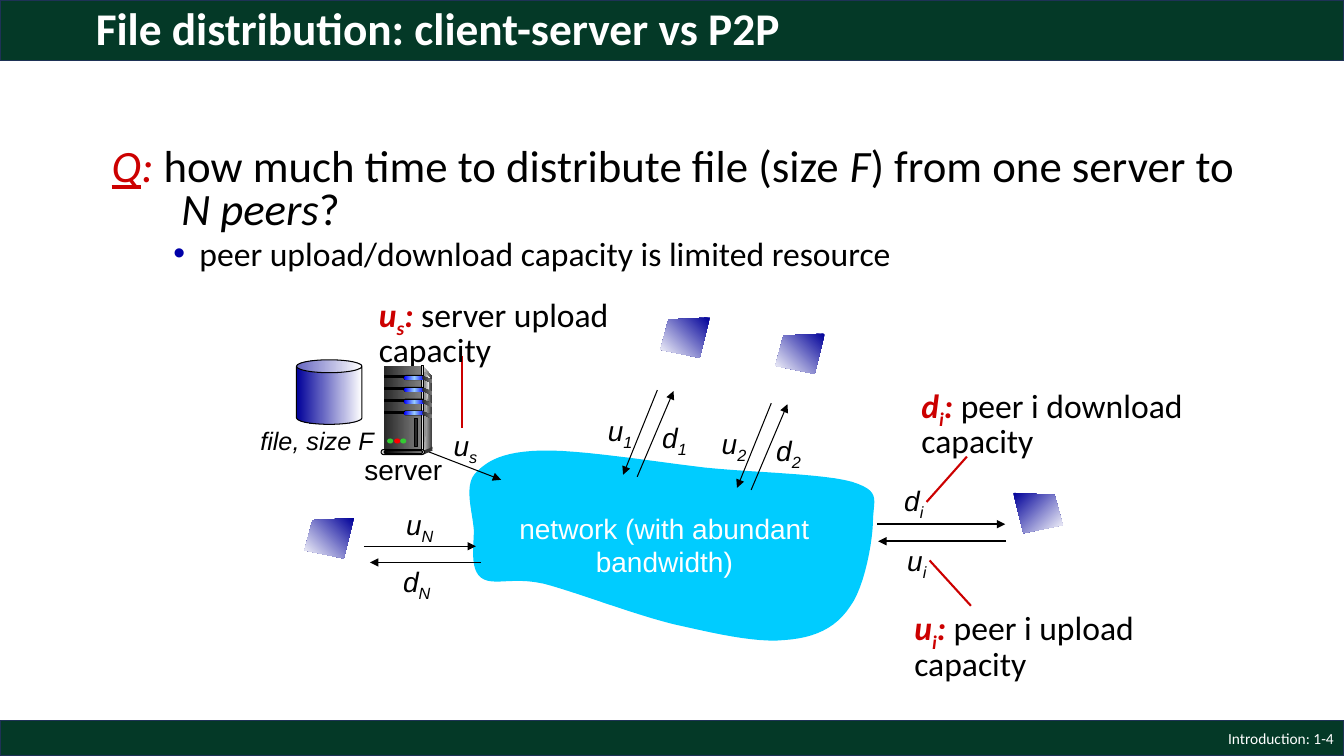
"""Build the slide on file distribution time, client-server against P2P."""
from copy import deepcopy

from pptx import Presentation
from pptx.dml.color import RGBColor
from pptx.enum.shapes import MSO_CONNECTOR as Link, MSO_SHAPE as Form
from pptx.enum.text import MSO_ANCHOR as Anchor, MSO_AUTO_SIZE as Fit, PP_ALIGN as Align
from pptx.oxml.ns import qn
from pptx.util import Inches, Pt
from lxml.etree import SubElement

GREEN = RGBColor(0x04, 0x39, 0x27)
EDGE = RGBColor(0x1E, 0x32, 0x56)
WHITE = RGBColor(0xFF, 0xFF, 0xFF)
BLACK = RGBColor(0x00, 0x00, 0x00)
RED = RGBColor(0xCC, 0x00, 0x00)
CYAN = RGBColor(0x00, 0xCC, 0xFF)
NAVY = RGBColor(0x00, 0x00, 0x99)
BLUE = RGBColor(0x00, 0x00, 0xFF)
SKY = RGBColor(0x99, 0xCC, 0xFF)
COAL = RGBColor(0x29, 0x29, 0x29)
DARK = RGBColor(0x33, 0x33, 0x33)
GRAY = RGBColor(0x80, 0x80, 0x80)
PALE = RGBColor(0xDD, 0xDD, 0xDD)
MIST = RGBColor(0xF8, 0xF8, 0xF8)
LIME = RGBColor(0x33, 0xCC, 0x33)
LAMP = RGBColor(0xFF, 0x00, 0x00)


def write(par, text, size=20, face="Arial", color=BLACK, bold=False, italic=False, under=False, sub=False):
    run = par.add_run()
    run.text = text
    font = run.font
    font.size, font.name, font.color.rgb = Pt(size), face, color
    font.bold, font.italic, font.underline = bold, italic, under
    if sub:
        run._r.get_or_add_rPr().set("baseline", "-25000")


def draw(home, form, spot, fill, edge=None, width=0.75, turn=0, bend=None):
    if form:
        shape = home.add_shape(form, *map(Inches, spot))
    else:
        dots = [(Inches(x), Inches(y)) for x, y in spot]
        pen = home.build_freeform(*dots[0], scale=1.0)
        pen.add_line_segments(dots[1:], close=True)
        shape = pen.convert_to_shape()
    shape.shadow.inherit = False
    if bend is not None:
        shape.adjustments[0] = bend
    if isinstance(fill, list):
        shape.fill.gradient()
        shape.fill.gradient_angle = turn
        stops = shape._element.spPr.find(qn("a:gradFill")).find(qn("a:gsLst"))
        if len(fill) == 3:
            stops.insert(1, deepcopy(stops[0]))
            stops[1].set("pos", "50000")
        for stop, color in zip(shape.fill.gradient_stops, fill):
            stop.color.rgb = color
    else:
        shape.fill.solid()
        shape.fill.fore_color.rgb = fill
    if edge is None:
        shape.line.fill.background()
    else:
        shape.line.color.rgb = edge
        shape.line.width = Pt(width)


deck = Presentation()
deck.slide_width, deck.slide_height = Inches(13.33), Inches(7.5)
slide = deck.slides.add_slide(deck.slide_layouts[5])
art = slide.shapes

for top, high in [(0, 0.6), (7.15, 0.35)]:
    draw(art, Form.RECTANGLE, (0, top, 13.33, high), GREEN, EDGE, 1)

title = art.title
art._spTree.append(title._element)
title.left, title.top, title.width, title.height = map(Inches, (0.85, 0.04, 11.5, 0.54))
frame = title.text_frame
frame.auto_size, frame.vertical_anchor, frame.word_wrap = Fit.NONE, Anchor.MIDDLE, True
par = frame.paragraphs[0]
par.alignment, par.line_spacing = Align.LEFT, 0.9
write(par, "File distribution: client-server vs P2P", size=32.4, face="Calibri", color=WHITE, bold=True)

frame = art.add_textbox(*map(Inches, (0.94, 1.42, 11.5, 1.42))).text_frame
frame.word_wrap = True
ask, point = frame.paragraphs[0], frame.add_paragraph()
for par, left, first in [(ask, 0.76, -0.69), (point, 0.94, -0.26)]:
    par.line_spacing = 0.8
    rule = par._p.get_or_add_pPr()
    rule.set("marL", str(Inches(left)))
    rule.set("indent", str(Inches(first)))
for text, style in [
    ("Q", dict(color=RED, italic=True, under=True)),
    (":", dict(color=RED, italic=True)),
    (" how much time to distribute file (size ", {}),
    ("F", dict(italic=True)),
    (") from one server to ", {}),
    ("N peers", dict(italic=True)),
    ("?", {}),
]:
    write(ask, text, size=32, face="Calibri", **style)
point.level, point.space_before = 1, Pt(5)
rule = point._p.get_or_add_pPr()
SubElement(SubElement(rule, qn("a:buClr")), qn("a:srgbClr")).set("val", "0000A8")
SubElement(rule, qn("a:buFont")).set("typeface", "Arial")
SubElement(rule, qn("a:buChar")).set("char", "•")
write(point, "peer upload/download capacity is limited resource", size=24, face="Calibri")

cloud = [(5.37, 4.47)]
for b, c, d in [
    ((4.99, 4.48), (4.83, 4.57), (4.71, 4.7)),
    ((4.6, 4.83), (4.69, 5.09), (4.7, 5.26)),
    ((4.7, 5.43), (4.66, 5.64), (4.77, 5.73)),
    ((4.89, 5.82), (5.07, 5.72), (5.39, 5.79)),
    ((5.7, 5.87), (6.27, 6.09), (6.67, 6.19)),
    ((7.07, 6.28), (7.49, 6.38), (7.78, 6.35)),
    ((8.08, 6.33), (8.29, 6.23), (8.43, 6.02)),
    ((8.58, 5.82), (8.66, 5.35), (8.66, 5.14)),
    ((8.67, 4.94), (8.73, 4.87), (8.45, 4.78)),
    ((8.17, 4.7), (7.5, 4.69), (7, 4.64)),
    ((6.49, 4.58), (5.75, 4.46), (5.37, 4.47)),
]:
    a = cloud[-1]
    for step in range(1, 13):
        t = step / 12
        u = 1 - t
        cloud.append(tuple(
            u**3 * a[i] + 3 * u * u * t * b[i] + 3 * u * t * t * c[i] + t**3 * d[i] for i in (0, 1)))
draw(art, None, cloud, CYAN)

lines = [
    (4.09, 4.42, 4.97, 4.76, BLACK, 0.75),
    (3.61, 5.42, 4.72, 5.42, BLACK, 0.75),
    (4.77, 5.58, 3.67, 5.58, BLACK, 0.75),
    (8.7, 5.2, 9.97, 5.2, BLACK, 1.5),
    (9.98, 5.37, 8.71, 5.37, BLACK, 1.5),
    (4.58, 3.53, 4.58, 4.25, RED, 1.5),
    (9.59, 4.53, 9.19, 4.98, RED, 1.5),
    (9.63, 6.01, 9.22, 5.56, RED, 1.5),
]
labels = [
    (4.4, 4.2, "u", "s"), (3.93, 4.99, "u", "N"), (3.9, 5.55, "d", "N"),
    (8.87, 4.75, "d", "i"), (8.9, 5.34, "u", "i"),
]
for peer, (x, y) in enumerate([(0, 0), (1.13, 0.13)], 1):
    lines += [
        (6.52 + x, 3.87 + y, 6.18 + x, 4.71 + y, BLACK, 0.75),
        (6.32 + x, 4.73 + y, 6.68 + x, 3.88 + y, BLACK, 0.75),
    ]
    labels += [(5.93 + x, 4.05 + y, "u", str(peer)), (6.47 + x, 4.12 + y, "d", str(peer))]

for *ends, color, width in lines:
    link = art.add_connector(Link.STRAIGHT, *map(Inches, ends))
    link.line.color.rgb, link.line.width = color, Pt(width)
    props = link._element.spPr
    if color == BLACK:
        SubElement(props.find(qn("a:ln")), qn("a:tailEnd")).set("type", "triangle")
    SubElement(props, qn("a:effectLst"))

for x, y, sign, low in labels:
    wide = 0.45 if low == "s" else 0.67
    frame = art.add_textbox(*map(Inches, (x, y, wide, 0.44))).text_frame
    frame.word_wrap = low != "s"
    write(frame.paragraphs[0], sign, italic=True)
    write(frame.paragraphs[0], low, italic=True, sub=True)

for x, y, wide, sign, low, text in [
    (3.66, 2.89, 2.72, "u", "s", " server upload capacity"),
    (8.97, 6, 2.83, "u", "i", " peer i upload capacity"),
    (9.04, 3.79, 3, "d", "i", " peer i download capacity"),
]:
    frame = art.add_textbox(*map(Inches, (x, y, wide, 0.79))).text_frame
    frame.word_wrap = True
    par = frame.paragraphs[0]
    par.line_spacing = 0.85
    for part in (sign, low, ":"):
        write(par, part, size=24, face="Calibri", color=RED, bold=True, italic=True, sub=part == low)
    write(par, text, size=24, face="Calibri")

for spot, rows, side, style in [
    ((3.36, 4.44, 1.28, 0.44), ["server"], Align.CENTER, {}),
    ((5.04, 5.02, 3.1, 0.77), ["network (with abundant", "bandwidth)"], Align.CENTER, dict(color=WHITE)),
    ((2.38, 4.17, 1.53, 0.4), ["file, size F"], Align.CENTER, dict(size=18, italic=True)),
    ((10.33, 7.15, 3, 0.35), ["Introduction: 1-4"], Align.RIGHT, dict(size=11, face="Calibri", color=WHITE)),
]:
    frame = art.add_textbox(*map(Inches, spot)).text_frame
    frame.word_wrap, frame.vertical_anchor = True, Anchor.MIDDLE
    for row, text in enumerate(rows):
        par = frame.add_paragraph() if row else frame.paragraphs[0]
        par.alignment = side
        write(par, text, **style)

draw(art, Form.CAN, (2.94, 3.57, 0.65, 0.64), [NAVY, WHITE], BLACK, bend=0.2)

rack = art.add_group_shape().shapes
draw(rack, None, [(4.2, 3.64), (4.29, 3.74), (4.28, 4.44), (4.19, 4.47)], [PALE, DARK])
draw(rack, Form.RECTANGLE, (3.81, 3.63, 0.37, 0.84), [COAL, GRAY])
draw(rack, None, [(4.21, 3.69), (4.26, 3.75), (4.23, 4), (4.21, 4.45)], [GRAY, MIST])
draw(rack, Form.RECTANGLE, (4.18, 3.63, 0.02, 0.84), [DARK, PALE, DARK], BLACK)
for bay in range(4):
    y = 3.73 + 0.117 * bay
    draw(rack, Form.RECTANGLE, (3.81, y, 0.21, 0.02), BLACK, BLACK)
    draw(rack, Form.ROUNDED_RECTANGLE, (4, y - 0.01, 0.21, 0.05), BLACK, bend=0.5)
    draw(rack, Form.ROUNDED_RECTANGLE, (4.01, y, 0.2, 0.04), [BLUE, SKY, BLUE], bend=0.5)
    draw(rack, None, [(4.19, y), (4.29, y + 0.04), (4.28, y + 0.07), (4.19, y + 0.03)], [COAL, GRAY])
draw(rack, Form.OVAL, (4.27, 4.43, 0.02, 0.03), DARK)
draw(rack, None, [(4.2, 4.47), (4.2, 4.51), (4.29, 4.47), (4.28, 4.44)], DARK)
draw(rack, Form.ROUNDED_RECTANGLE, (3.78, 4.46, 0.43, 0.05), PALE, BLACK, bend=0.5)
draw(rack, Form.ROUNDED_RECTANGLE, (3.81, 4.47, 0.38, 0.03), [BLACK, GRAY], BLACK, bend=0.5)
for x, color in [(3.84, LIME), (3.91, LAMP), (3.97, LIME)]:
    draw(rack, Form.OVAL, (x, 4.35, 0.06, 0.05), color)
draw(rack, Form.RECTANGLE, (4.11, 4.15, 0.03, 0.28), COAL, BLACK)

for x, y, way, turn in [(3.51, 5.14, -1, 225), (7.04, 3.15, -1, 225), (8.18, 3.31, -1, 225), (10.05, 4.89, 1, 315)]:
    screen = [(x + way * dx, y + dy) for dx, dy in [(0, 0), (0.41, 0.02), (0.49, 0.32), (0.1, 0.4)]]
    draw(art, None, screen, [NAVY, WHITE], turn=turn)

deck.save("out.pptx")
